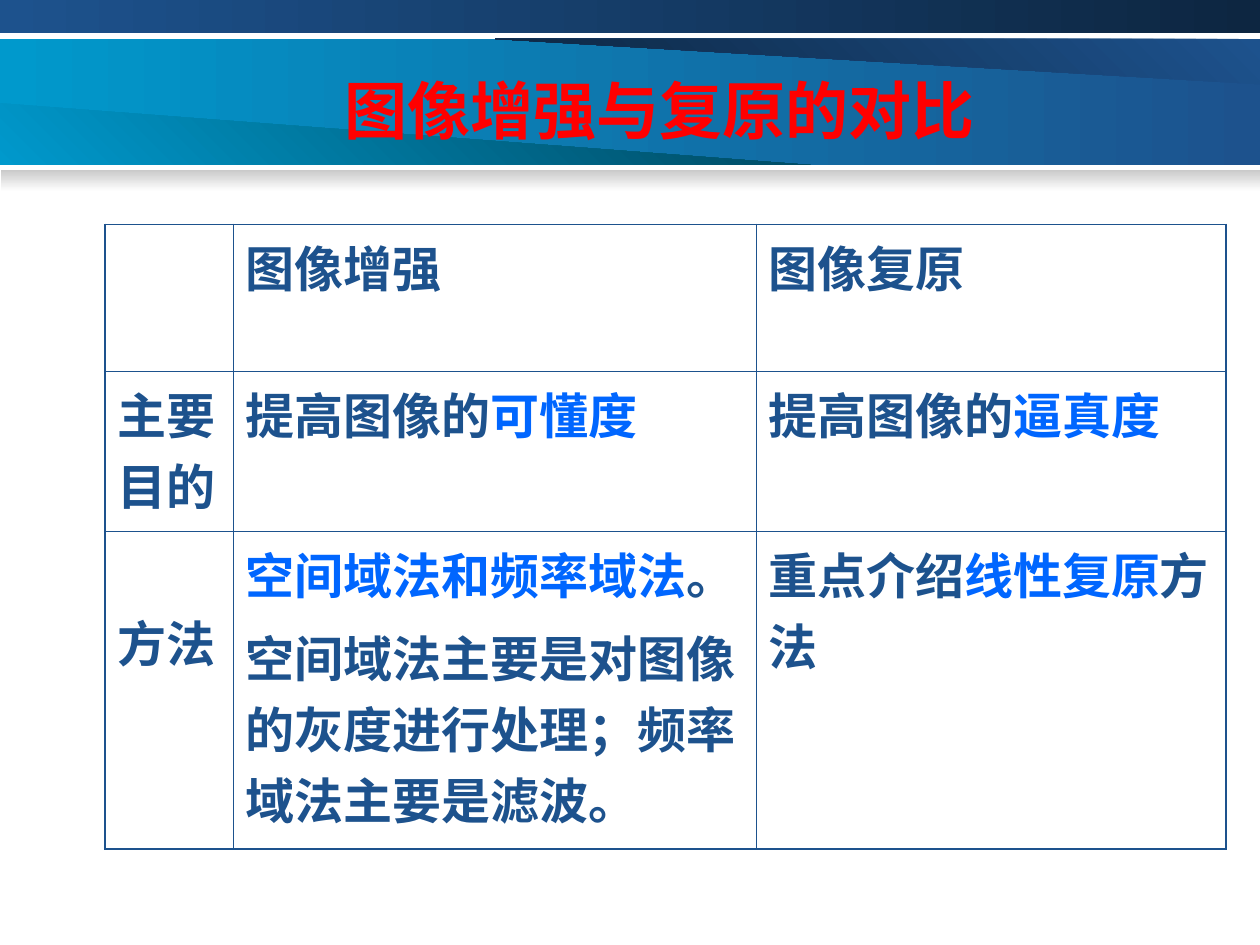
from dataclasses import dataclass

from lxml.etree import SubElement
from pptx import Presentation
from pptx.dml.color import RGBColor
from pptx.enum.shapes import MSO_SHAPE as Preset
from pptx.enum.text import MSO_ANCHOR as Anchor
from pptx.oxml.ns import qn
from pptx.util import Pt


@dataclass(frozen=True)
class Theme:
    navy: str = "1D528D"
    midnight: str = "0D2641"
    cyan: str = "0099CC"
    teal: str = "00475E"
    shade: str = "CACACA"
    white: str = "FFFFFF"
    accent: str = "0066FF"
    red: str = "FF0000"
    cjk: str = "Noto Sans CJK SC"
    serif: str = "Times New Roman"
    title_size: float = 36
    body_size: float = 28
    outer_line: float = 1.08
    inner_line: float = 0.45


THEME = Theme()

COLUMNS = (73.4, 298.8, 268.6)
ROWS = (84.2, 91.4, 181.4)
# Each cell is a list of paragraphs; each paragraph is a list of (text, emphasised).
COMPARISON = (
    ([], [[("图像增强", False)]], [[("图像复原", False)]]),
    (
        [[("主要目的", False)]],
        [[("提高图像的", False), ("可懂度", True)]],
        [[("提高图像的", False), ("逼真度", True)]],
    ),
    (
        [[("方法", False)]],
        [
            [("空间域法和频率域法", True), ("。", False)],
            [("空间域法主要是对图像的灰度进行处理；频率域法主要是滤波。", False)],
        ],
        [[("重点介绍", False), ("线性复原", True), ("方法", False)]],
    ),
)


def style_span(span, size, color, latin):
    span.font.size = Pt(size)
    span.font.bold = True
    span.font.color.rgb = RGBColor.from_string(color)
    span.font.name = latin
    SubElement(span.font._element, qn("a:ea"), typeface=THEME.cjk)


def paint_gradient(shape, start, end, clockwise=0):
    shape.shadow.inherit = False
    shape.line.fill.background()
    shape.fill.gradient()
    shape.fill.gradient_angle = (360 - clockwise) % 360
    for stop, color in zip(shape.fill.gradient_stops, (start, end)):
        stop.color.rgb = RGBColor.from_string(color)


def add_band(page, left, top, width, height, start, end, clockwise=0):
    box = (Pt(value) for value in (left, top, width, height))
    paint_gradient(page.shapes.add_shape(Preset.RECTANGLE, *box), start, end, clockwise)


def add_wedge(page, points, start, end, clockwise):
    first, *rest = [(Pt(x), Pt(y)) for x, y in points]
    builder = page.shapes.build_freeform(*first)
    builder.add_line_segments(rest, close=True)
    paint_gradient(builder.convert_to_shape(), start, end, clockwise)


def add_banner(page, left, top, width, height):
    """Header bar, main band with two wedges, and the soft shade below it."""
    right, bottom = left + width, top + height
    add_band(page, left, top, width, height, THEME.cyan, THEME.navy)
    add_wedge(
        page,
        [(left + 283, top), (right, top + 25.9), (right, top)],
        THEME.navy, THEME.midnight, 135,
    )
    add_wedge(
        page,
        [(left, bottom), (left + 463, bottom), (left, bottom - 35.3)],
        THEME.cyan, THEME.teal, 315,
    )
    add_band(page, left, 0, width, 18.7, THEME.navy, THEME.midnight)
    add_band(page, left + 0.7, bottom + 2.9, width - 0.7, 12.2,
             THEME.shade, THEME.white, 90)


def add_title(page, left, top, width, height):
    box = page.shapes.add_textbox(Pt(left), Pt(top), Pt(width), Pt(height))
    frame = box.text_frame
    frame.word_wrap = True
    frame.vertical_anchor = Anchor.MIDDLE
    frame.text = "图像增强与复原的对比"
    style_span(frame.paragraphs[0].runs[0], THEME.title_size, THEME.red, THEME.serif)


def draw_borders(cell, row, column):
    """Heavier lines on the outside of the table, hairlines inside."""
    outer_sides = {
        "a:lnL": column == 0,
        "a:lnR": column == len(COLUMNS) - 1,
        "a:lnT": row == 0,
        "a:lnB": row == len(ROWS) - 1,
    }
    properties = cell._tc.get_or_add_tcPr()
    for side, outer in outer_sides.items():
        weight = THEME.outer_line if outer else THEME.inner_line
        line = SubElement(properties, qn(side), w=str(Pt(weight)))
        fill = SubElement(line, qn("a:solidFill"))
        SubElement(fill, qn("a:srgbClr"), val=THEME.navy)


def fill_cell(cell, paragraphs):
    frame = cell.text_frame
    for index, spans in enumerate(paragraphs):
        para = frame.add_paragraph() if index else frame.paragraphs[0]
        if index:
            para.space_before = Pt(7)
        for text, emphasised in spans:
            span = para.add_run()
            span.text = text
            color = THEME.accent if emphasised else THEME.navy
            style_span(span, THEME.body_size, color, THEME.cjk)


def add_comparison(page, left, top):
    table = page.shapes.add_table(
        len(ROWS), len(COLUMNS), Pt(left), Pt(top), Pt(sum(COLUMNS)), Pt(sum(ROWS))
    ).table
    table.first_row = table.horz_banding = False
    for column, width in zip(table.columns, COLUMNS):
        column.width = Pt(width)
    for row, height in zip(table.rows, ROWS):
        row.height = Pt(height)
    for row, contents in enumerate(COMPARISON):
        for column, paragraphs in enumerate(contents):
            cell = table.cell(row, column)
            draw_borders(cell, row, column)
            cell.fill.background()
            fill_cell(cell, paragraphs)
    table.cell(2, 0).margin_top = Pt(42.6)


def main():
    deck = Presentation()
    deck.slide_width, deck.slide_height = Pt(720), Pt(540)
    page = deck.slides.add_slide(deck.slide_layouts[6])
    add_banner(page, 0, 22.3, 720, 72)
    add_comparison(page, 59.8, 128.2)
    add_title(page, 190, 37.4, 402.5, 50.4)
    deck.save("out.pptx")


if __name__ == "__main__":
    main()
